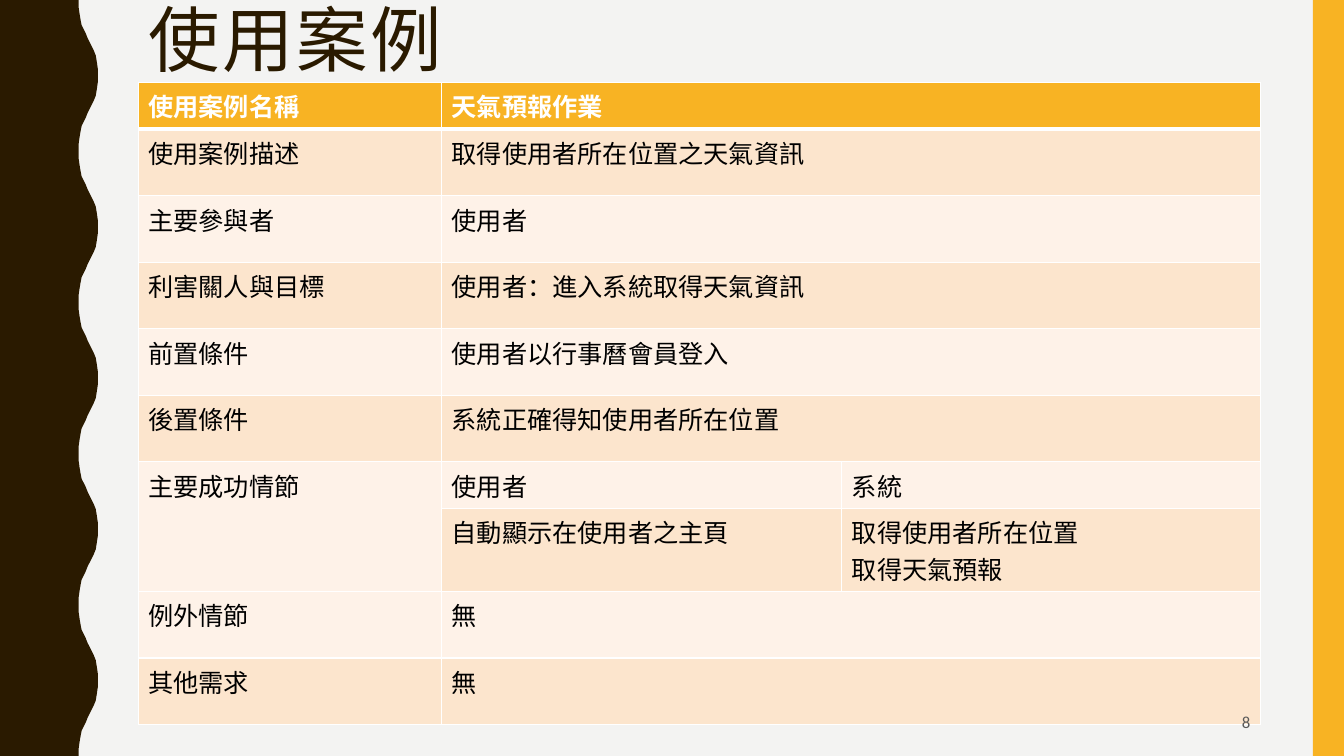
from lxml import etree
from pptx import Presentation
from pptx.dml.color import RGBColor
from pptx.enum.shapes import MSO_SHAPE
from pptx.enum.text import MSO_ANCHOR, MSO_AUTO_SIZE, PP_ALIGN
from pptx.oxml.ns import qn
from pptx.util import Inches, Pt

RECTANGLE = MSO_SHAPE.RECTANGLE
TOP, MIDDLE = MSO_ANCHOR.TOP, MSO_ANCHOR.MIDDLE
LEFT, RIGHT = PP_ALIGN.LEFT, PP_ALIGN.RIGHT
NO_AUTOFIT = MSO_AUTO_SIZE.NONE

PAPER = RGBColor(0xF3, 0xF3, 0xF2)
BROWN = RGBColor(0x2A, 0x1A, 0x00)
AMBER = RGBColor(0xF8, 0xB3, 0x23)
PEACH = RGBColor(0xFC, 0xE5, 0xCD)
CREAM = RGBColor(0xFE, 0xF2, 0xE8)
WHITE = RGBColor(0xFF, 0xFF, 0xFF)
BLACK = RGBColor(0x00, 0x00, 0x00)
GREY = RGBColor(0x59, 0x59, 0x59)

PAGE_WIDTH, PAGE_HEIGHT = 13.33, 7.5
CONTENT_LEFT, CONTENT_WIDTH = 1.37, 11.13
WAVE_COUNT, WAVE_LENGTH = 5, 1.5
TROUGH_TO_CREST = [
    (0.78, 0), (0.78, 0.07), (0.79, 0.14), (0.8, 0.2), (0.81, 0.25),
    (0.83, 0.29), (0.85, 0.33), (0.87, 0.38), (0.89, 0.42), (0.91, 0.46),
    (0.93, 0.5), (0.95, 0.55), (0.96, 0.61), (0.97, 0.68), (0.97, 0.75),
]

COLUMN_WIDTHS = [3.01, 3.97, 4.15]
ROW_HEIGHT, SHORT_ROW_HEIGHT = 0.66, 0.42
SHORT_ROWS = (0, 6)
SCENARIO_ROW = 6
USE_CASE_ROWS = [
    ["使用案例名稱", "天氣預報作業"],
    ["使用案例描述", "取得使用者所在位置之天氣資訊"],
    ["主要參與者", "使用者"],
    ["利害關人與目標", "使用者：進入系統取得天氣資訊"],
    ["前置條件", "使用者以行事曆會員登入"],
    ["後置條件", "系統正確得知使用者所在位置"],
    ["主要成功情節", "使用者", "系統"],
    ["", "自動顯示在使用者之主頁", "取得使用者所在位置\n取得天氣預報"],
    ["例外情節", "無"],
    ["其他需求", "無"],
]


def style_paragraph(para, name, size, color, bold=False):
    para.font.name = name
    para.font.size = Pt(size)
    para.font.color.rgb = color
    para.font.bold = bold


def paint(shape, color):
    shape.fill.solid()
    shape.fill.fore_color.rgb = color
    shape.line.fill.background()
    shape.shadow.inherit = False


def add_wavy_band(page):
    crest_to_trough = [(x, WAVE_LENGTH - y) for x, y in TROUGH_TO_CREST[-2::-1]]
    wave = TROUGH_TO_CREST + crest_to_trough
    edge = [(x, y + number * WAVE_LENGTH)
            for number in range(WAVE_COUNT) for x, y in wave]
    outline = [(Inches(x), Inches(y)) for x, y in edge + [(0, PAGE_HEIGHT)]]
    builder = page.shapes.build_freeform(0, 0)
    builder.add_line_segments(outline, close=True)
    paint(builder.convert_to_shape(), BROWN)


def add_side_bar(page):
    bar = page.shapes.add_shape(
        RECTANGLE, Inches(13.02), 0, Inches(0.31), Inches(PAGE_HEIGHT))
    paint(bar, AMBER)


def format_title(page, text):
    title = page.shapes.title
    title.left, title.top = Inches(CONTENT_LEFT), Inches(0)
    title.width, title.height = Inches(CONTENT_WIDTH), Inches(1.63)
    frame = title.text_frame
    frame.text = text
    frame.auto_size = NO_AUTOFIT
    frame.vertical_anchor = TOP
    para = frame.paragraphs[0]
    para.alignment = LEFT
    para.line_spacing = 0.9
    style_paragraph(para, "Arial", 51, BROWN)
    para.runs[0].font._element.set("spc", "200")


def add_borders(cell, bottom_width):
    properties = cell._tc.get_or_add_tcPr()
    widths = {"a:lnL": 1, "a:lnR": 1, "a:lnT": 1, "a:lnB": bottom_width}
    for tag, width in widths.items():
        line = etree.SubElement(properties, qn(tag), w=str(Pt(width)))
        fill = etree.SubElement(line, qn("a:solidFill"))
        etree.SubElement(fill, qn("a:srgbClr"), val=str(WHITE))


def fill_cell(cell, text, row_index):
    is_header = row_index == 0
    add_borders(cell, 3 if is_header else 1)
    cell.fill.solid()
    banding = PEACH if row_index % 2 else CREAM
    cell.fill.fore_color.rgb = AMBER if is_header else banding
    cell.text = text
    for para in cell.text_frame.paragraphs:
        style_paragraph(para, "Calibri", 18, WHITE if is_header else BLACK, is_header)


def add_use_case_table(page):
    heights = [SHORT_ROW_HEIGHT if index in SHORT_ROWS else ROW_HEIGHT
               for index in range(len(USE_CASE_ROWS))]
    table = page.shapes.add_table(
        len(heights), len(COLUMN_WIDTHS), Inches(CONTENT_LEFT), Inches(0.82),
        Inches(CONTENT_WIDTH), Inches(sum(heights))).table
    for column, width in zip(table.columns, COLUMN_WIDTHS):
        column.width = Inches(width)
    for row_index, texts in enumerate(USE_CASE_ROWS):
        table.rows[row_index].height = Inches(heights[row_index])
        for column_index in range(len(COLUMN_WIDTHS)):
            text = texts[column_index] if column_index < len(texts) else ""
            fill_cell(table.cell(row_index, column_index), text, row_index)
        if len(texts) == 2:
            table.cell(row_index, 1).merge(table.cell(row_index, 2))
    table.cell(SCENARIO_ROW, 0).merge(table.cell(SCENARIO_ROW + 1, 0))


def add_page_number(page, number):
    box = page.shapes.add_textbox(
        Inches(9.42), Inches(6.97), Inches(3.08), Inches(0.38))
    frame = box.text_frame
    frame.word_wrap = True
    frame.vertical_anchor = MIDDLE
    frame.text = number
    para = frame.paragraphs[0]
    para.alignment = RIGHT
    style_paragraph(para, "Calibri", 12, GREY)


def main():
    deck = Presentation()
    deck.slide_width, deck.slide_height = Inches(PAGE_WIDTH), Inches(PAGE_HEIGHT)
    page = deck.slides.add_slide(deck.slide_layouts.get_by_name("Title Only"))
    page.background.fill.solid()
    page.background.fill.fore_color.rgb = PAPER
    add_wavy_band(page)
    add_side_bar(page)
    format_title(page, "使用案例")
    add_use_case_table(page)
    add_page_number(page, "8")
    deck.save("out.pptx")


if __name__ == "__main__":
    main()
